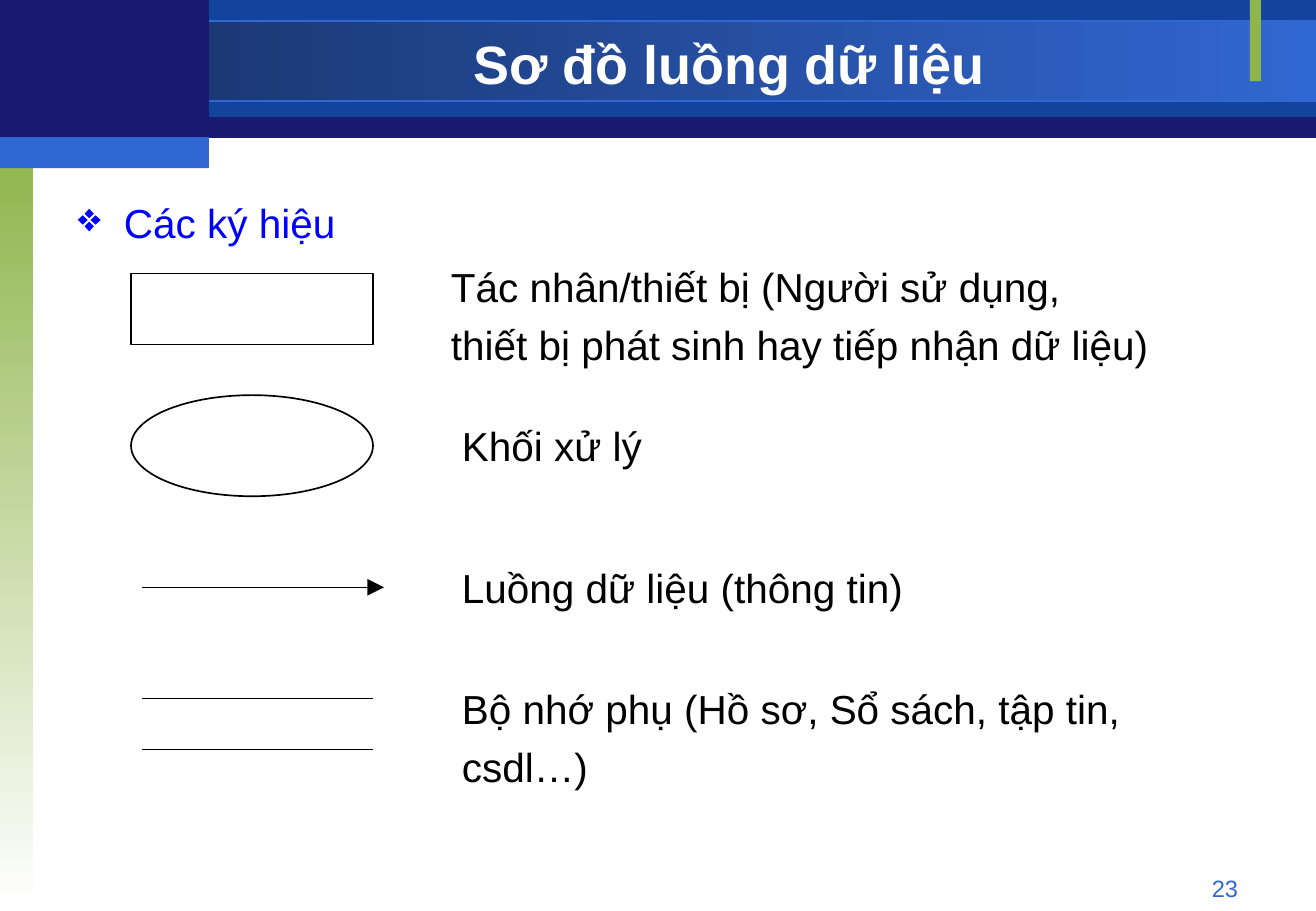
from pptx import Presentation
from pptx.dml.color import RGBColor
from pptx.enum.shapes import MSO_CONNECTOR, MSO_SHAPE
from pptx.enum.text import MSO_ANCHOR, PP_ALIGN
from pptx.oxml.ns import qn
from pptx.util import Inches, Pt
from lxml.etree import SubElement

PX = 7532  # EMU per pixel
WIDTH = 1316

THEME = {
    "font": "Arial",
    "navy": "1A1A70", "blue": "12449E", "dark": "173062", "bright": "3167D3",
    "green": "90B54D", "white": "FFFFFF", "black": "000000", "heading": "0000FF",
    "title_size": 32, "text_size": 24, "number_size": 14,
}


def color(name):
    return RGBColor.from_string(THEME[name])


def write(shape, lines, size, ink, align=PP_ALIGN.LEFT, spacing=1.0, bold=False):
    text_frame = shape.text_frame
    text_frame.word_wrap = True
    text_frame.text = "\n".join(lines)
    for paragraph in text_frame.paragraphs:
        paragraph.alignment = align
        paragraph.line_spacing = spacing
        paragraph.space_before = Pt(0)
        for run in paragraph.runs:
            run.font.name = THEME["font"]
            run.font.size = Pt(THEME[size])
            run.font.bold = bold
            run.font.color.rgb = color(ink)


presentation = Presentation()
presentation.slide_width, presentation.slide_height = Inches(10.84), Inches(7.5)
slide = presentation.slides.add_slide(presentation.slide_layouts[5])
shapes = slide.shapes

# Header bands and side strip: box, fill colours, gradient angle, outline
BANDS = [
    ((0, 1, WIDTH, 137), ["navy"], 0, None),
    ((209, 0, 1107, 117), ["blue"], 0, None),
    ((0, 21, WIDTH, 80), ["dark", "bright"], 0, "bright"),
    ((0, 152, 33, 758), ["green", "white"], 270, None),
    ((1250, 0, 11, 81), ["green"], 0, None),
    ((0, 0, 209, 142), ["navy"], 0, None),
    ((0, 137, 209, 31), ["bright"], 0, None),
]
for box, fills, angle, outline in BANDS:
    band = shapes.add_shape(MSO_SHAPE.RECTANGLE, *(n * PX for n in box))
    band.shadow.inherit = False
    if len(fills) == 1:
        band.fill.solid()
        band.fill.fore_color.rgb = color(fills[0])
    else:
        band.fill.gradient()
        band.fill.gradient_angle = angle
        for stop, position, name in zip(band.fill.gradient_stops, (0, 1), fills):
            stop.position = position
            stop.color.rgb = color(name)
    if outline:
        band.line.color.rgb = color(outline)
        band.line.width = Pt(0.75)
    else:
        band.line.fill.background()

# Title, raised above the bands
title = shapes.title
title.element.getparent().append(title.element)
title.left, title.top, title.width, title.height = (n * PX for n in (209, 28, 1041, 70))
title.text_frame.vertical_anchor = MSO_ANCHOR.MIDDLE
write(title, ["Sơ đồ luồng dữ liệu"], "title_size", "white", PP_ALIGN.CENTER, bold=True)

# Slide number
number = shapes.add_textbox(*(n * PX for n in (943, 867, 307, 33)))
write(number, ["23"], "number_size", "bright", PP_ALIGN.RIGHT)

# Bulleted heading
heading = shapes.add_textbox(*(n * PX for n in (66, 182, 1184, 70)))
write(heading, ["Các ký hiệu"], "text_size", "heading", spacing=1.2)
properties = heading.text_frame.paragraphs[0]._p.get_or_add_pPr()
properties.set("marL", str(46 * PX))
properties.set("indent", str(-46 * PX))
bullet_color = SubElement(properties, qn("a:buClr"))
SubElement(bullet_color, qn("a:srgbClr")).set("val", THEME["heading"])
SubElement(properties, qn("a:buChar")).set("char", "❖")

# Symbols: agent box and process ellipse
SYMBOLS = [
    (MSO_SHAPE.RECTANGLE, (131, 273, 242, 71), 0.75),
    (MSO_SHAPE.OVAL, (131, 395, 242, 101), 1),
]
for kind, box, weight in SYMBOLS:
    symbol = shapes.add_shape(kind, *(n * PX for n in box))
    symbol.shadow.inherit = False
    symbol.fill.background()
    symbol.line.color.rgb = color("black")
    symbol.line.width = Pt(weight)

# Symbols: data flow arrow and the two lines of the data store
for right, y, arrow in [(384, 587, True), (373, 698, False), (373, 749, False)]:
    connector = shapes.add_connector(
        MSO_CONNECTOR.STRAIGHT, 142 * PX, y * PX, right * PX, y * PX)
    connector.line.color.rgb = color("black")
    connector.line.width = Pt(0.75)
    if arrow:
        head = SubElement(connector.line._get_or_add_ln(), qn("a:tailEnd"))
        for key, value in (("type", "triangle"), ("w", "lg"), ("len", "lg")):
            head.set(key, value)
    SubElement(connector.element.spPr, qn("a:effectLst"))

# Meaning of each symbol
MEANINGS = [
    ((439, 246, 800, 129), 1.2,
     ["Tác nhân/thiết bị (Người sử dụng,", "thiết bị phát sinh hay tiếp nhận dữ liệu)"]),
    ((450, 415, 724, 61), 1.0, ["Khối xử lý"]),
    ((450, 557, 724, 61), 1.0, ["Luồng dữ liệu (thông tin)"]),
    ((450, 668, 767, 129), 1.2, ["Bộ nhớ phụ (Hồ sơ, Sổ sách, tập tin, csdl…)"]),
]
for box, spacing, lines in MEANINGS:
    meaning = shapes.add_textbox(*(n * PX for n in box))
    write(meaning, lines, "text_size", "black", spacing=spacing)

presentation.save("out.pptx")
